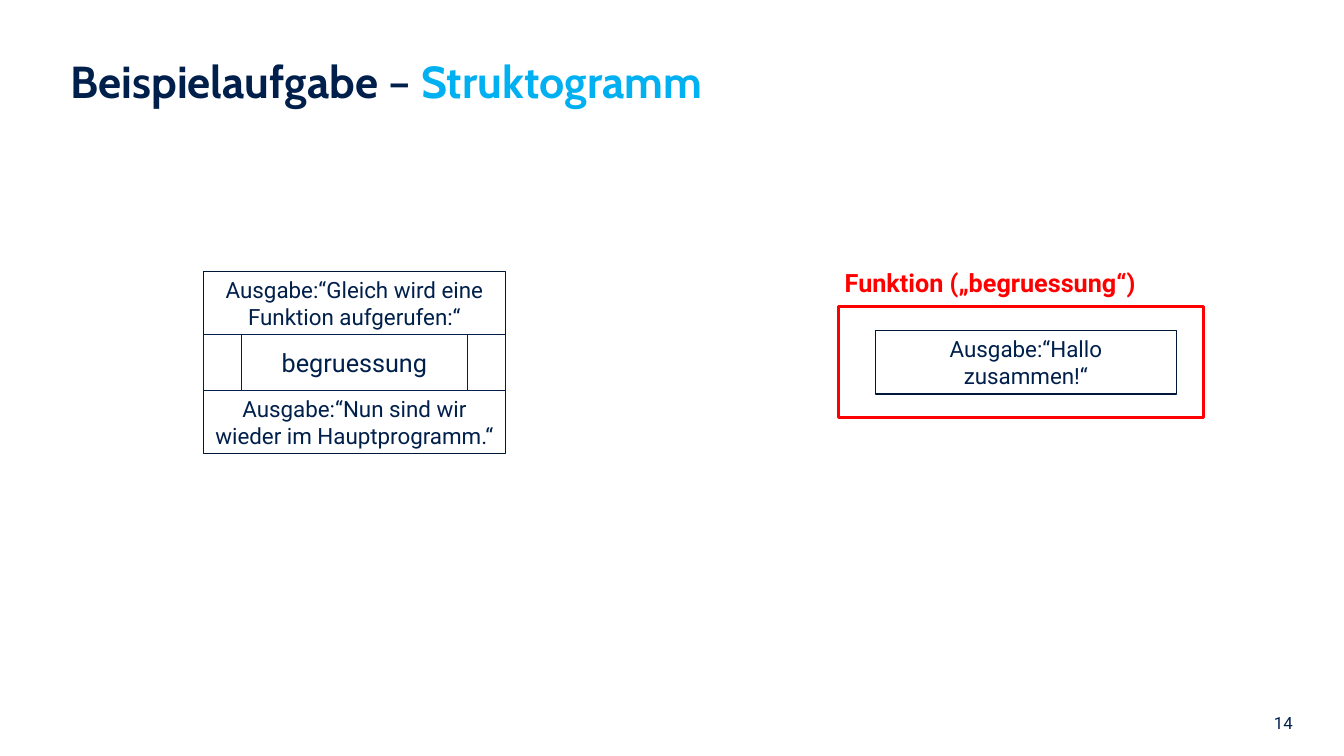
from pptx import Presentation
from pptx.dml.color import RGBColor
from pptx.enum.shapes import MSO_SHAPE as Shape
from pptx.enum.text import MSO_ANCHOR as Anchor, PP_ALIGN as Align
from pptx.util import Inches, Pt

NAVY = RGBColor(0x00, 0x20, 0x4B)
DARK_NAVY = RGBColor(0x00, 0x18, 0x37)
SKY = RGBColor(0x00, 0xB0, 0xF0)
RED = RGBColor(0xFF, 0x00, 0x00)
WHITE = RGBColor(0xFF, 0xFF, 0xFF)


def write(box, text, size=16, color=NAVY, font="Roboto", bold=False,
          align=Align.CENTER, anchor=Anchor.MIDDLE):
    frame = box.text_frame
    frame.word_wrap = True
    frame.vertical_anchor = anchor
    para = frame.paragraphs[0]
    para.alignment = align
    span = para.add_run()
    span.text = text
    span.font.name = font
    span.font.size = Pt(size)
    span.font.bold = bold
    span.font.color.rgb = color


deck = Presentation()
deck.slide_width = Inches(13.33)
deck.slide_height = Inches(7.5)
page = deck.slides.add_slide(deck.slide_layouts[5])

title = page.shapes.title
title.left, title.top = Inches(0.6), Inches(0.48)
title.width, title.height = Inches(12.18), Inches(0.79)
for text, color, bold in [
    ("Beispielaufgabe ", NAVY, True),
    ("– ", NAVY, False),
    ("Struktogramm", SKY, True),
]:
    write(title, text, size=32, color=color, font="Cabin", bold=bold,
          align=Align.LEFT, anchor=Anchor.TOP)

PROCESS = Shape.FLOWCHART_PREDEFINED_PROCESS
blocks = [
    (Shape.RECTANGLE, 2.02, 2.69, 2.99, 0.63, DARK_NAVY, 0.85, 16,
     "Ausgabe:“Gleich wird eine Funktion aufgerufen:“"),
    (Shape.RECTANGLE, 2.02, 3.87, 2.99, 0.63, DARK_NAVY, 0.85, 16,
     "Ausgabe:“Nun sind wir wieder im Hauptprogramm.“"),
    (PROCESS, 2.02, 3.32, 2.99, 0.55, NAVY, 0.85, 18, "begruessung"),
    (Shape.RECTANGLE, 8.68, 3.28, 2.99, 0.63, DARK_NAVY, 0.85, 16,
     "Ausgabe:“Hallo zusammen!“"),
    (Shape.RECTANGLE, 8.32, 3.04, 3.62, 1.1, RED, 2.25, 16, ""),
]
for kind, left, top, width, height, line_color, line_width, size, text in blocks:
    box = page.shapes.add_shape(
        kind, Inches(left), Inches(top), Inches(width), Inches(height))
    box.shadow.inherit = False
    box.line.color.rgb = line_color
    box.line.width = Pt(line_width)
    if kind == PROCESS:
        box.fill.solid()
        box.fill.fore_color.rgb = WHITE
    else:
        box.fill.background()
    if text:
        write(box, text, size=size)

heading = page.shapes.add_textbox(
    Inches(8.28), Inches(2.6), Inches(3.66), Inches(0.4))
write(heading, "Funktion („begruessung“)", size=18, color=RED, bold=True,
      align=Align.LEFT, anchor=Anchor.TOP)

page_number = page.shapes.add_textbox(
    Inches(8.45), Inches(6.97), Inches(4.47), Inches(0.4))
write(page_number, "14", size=12, align=Align.RIGHT)

deck.save("out.pptx")
